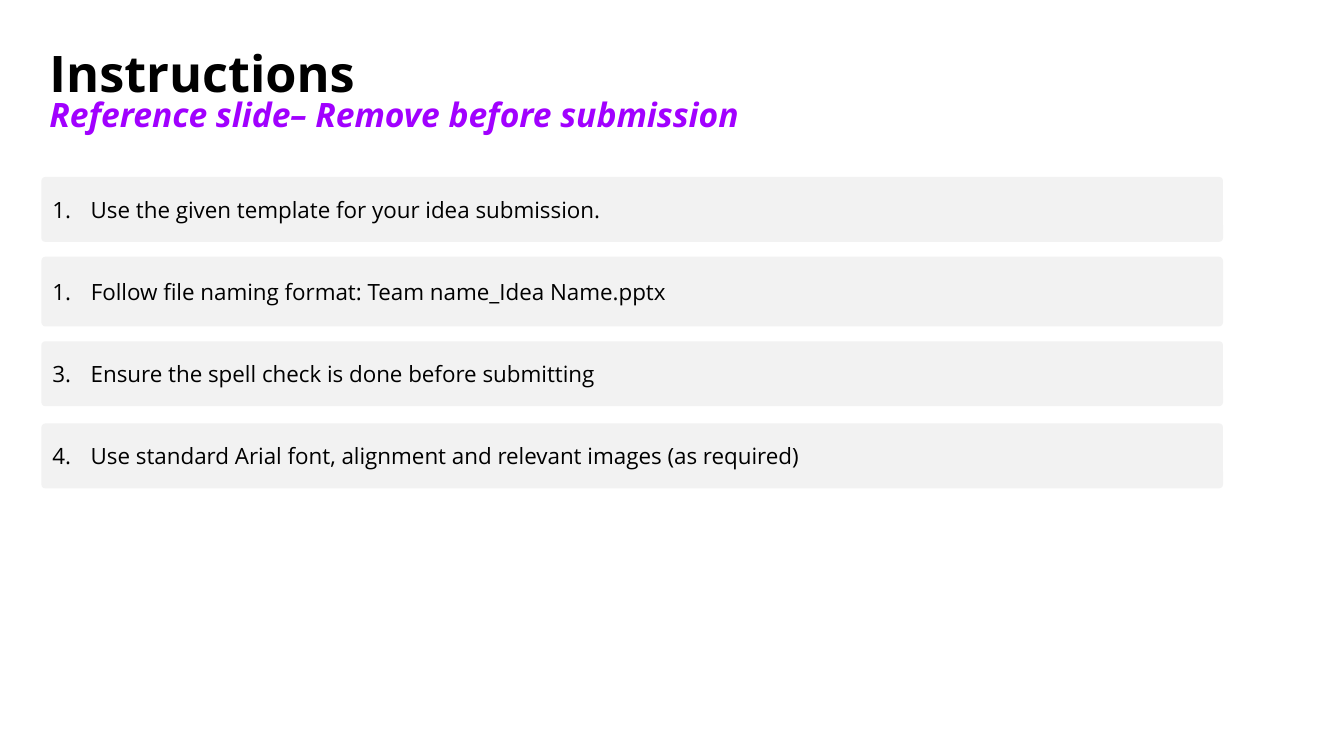
from pptx import Presentation
from pptx.dml.color import RGBColor
from pptx.enum.shapes import MSO_SHAPE as Preset
from pptx.enum.text import MSO_ANCHOR as Anchor, MSO_AUTO_SIZE as AutoSize, PP_ALIGN as Align
from pptx.util import Inches, Pt
from lxml.etree import SubElement
from pptx.oxml.ns import qn

FONT = "Open Sans"
BLACK, PURPLE, GREY = "000000", "A100FF", "F2F2F2"
HEADING_BOX = (3.68, 6.4, 93.77, 17.87)
RULES_BOX = (3.08, 22.27, 87.92, 43.47)
RULES = [
    ("Use the given template for your idea submission.", 1, 0.79),
    ("Follow file naming format: Team name_Idea Name.pptx", 1, 0.85),
    ("Ensure the spell check is done before submitting", 3, 0.79),
    ("Use standard Arial font, alignment and relevant images (as required)", 4, 0.79),
]

deck = Presentation()
deck.slide_width, deck.slide_height = Inches(13.33), Inches(7.5)
COLUMN, ROW = deck.slide_width / 100, deck.slide_height / 100


def colour(value):
    return RGBColor.from_string(value)


def place(left, top, width, height):
    return [int(n) for n in (left * COLUMN, top * ROW, width * COLUMN, height * ROW)]


def style(run, size, ink, bold=False, italic=False):
    font = run.font
    font.name, font.size, font.bold, font.italic = FONT, Pt(size), bold, italic
    font.color.rgb = colour(ink)


def number(paragraph, start):
    properties = paragraph._p.get_or_add_pPr()
    properties.set("marL", str(Inches(0.38)))
    properties.set("indent", str(-Inches(0.38)))
    SubElement(properties, qn("a:buFont"), typeface="+mj-lt")
    SubElement(properties, qn("a:buAutoNum"), type="arabicPeriod", startAt=str(start))


def add_heading(slide, box):
    heading = slide.shapes.title
    heading.left, heading.top, heading.width, heading.height = place(*box)
    frame = heading.text_frame
    frame.text = "Instructions\vReference slide– Remove before submission"
    frame.word_wrap, frame.auto_size = True, AutoSize.NONE
    frame.vertical_anchor = Anchor.TOP
    frame.margin_left = frame.margin_right = frame.margin_bottom = 0
    frame.margin_top = Inches(0.05)
    paragraph = frame.paragraphs[0]
    paragraph.alignment, paragraph.line_spacing = Align.LEFT, 0.8
    main, reminder = paragraph.runs
    style(main, 36, BLACK, bold=True)
    style(reminder, 24, PURPLE, bold=True, italic=True)


def add_rule(slide, box, wording, start):
    bar = slide.shapes.add_shape(Preset.ROUNDED_RECTANGLE, *place(*box))
    bar.adjustments[0] = 0.06
    bar.shadow.inherit = False
    bar.fill.solid()
    bar.fill.fore_color.rgb = colour(GREY)
    bar.line.fill.background()
    frame = bar.text_frame
    frame.text = wording
    frame.word_wrap, frame.vertical_anchor = True, Anchor.MIDDLE
    paragraph = frame.paragraphs[0]
    paragraph.alignment = Align.LEFT
    number(paragraph, start)
    style(paragraph.runs[0], 16, BLACK)


def add_rules(slide, box):
    left, top, width, height = box
    pitch = height / len(RULES)
    for index, (wording, start, share) in enumerate(RULES):
        bar_top = top + pitch * (index + (1 - share) / 2)
        add_rule(slide, (left, bar_top, width, pitch * share), wording, start)


instructions = deck.slides.add_slide(deck.slide_layouts.get_by_name("Title Only"))
add_heading(instructions, HEADING_BOX)
add_rules(instructions, RULES_BOX)
deck.save("out.pptx")
